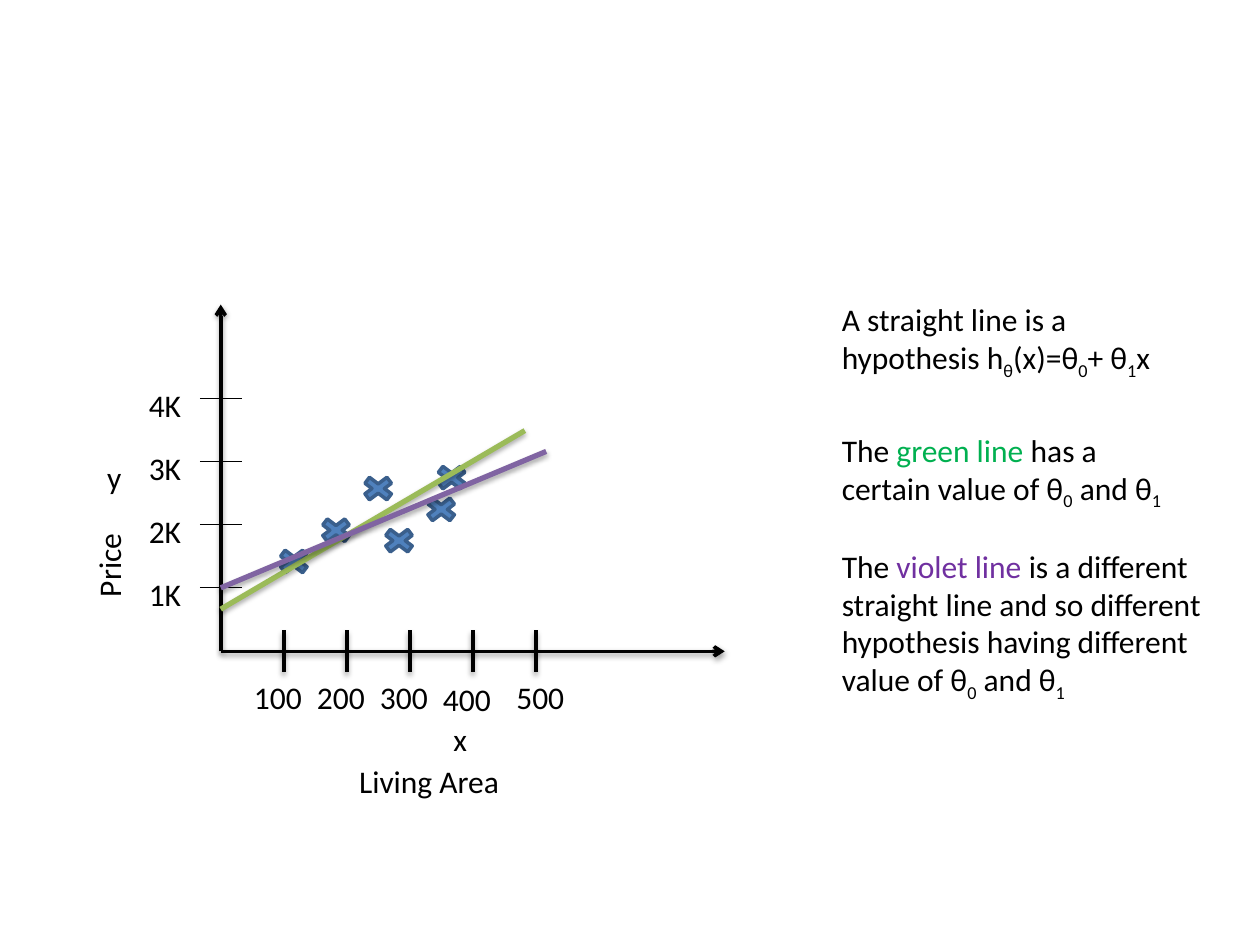
from typing import NamedTuple

from lxml.etree import SubElement
from pptx import Presentation
from pptx.dml.color import RGBColor
from pptx.enum.shapes import MSO_CONNECTOR, MSO_SHAPE
from pptx.enum.text import MSO_AUTO_SIZE
from pptx.oxml.ns import qn
from pptx.util import Cm, Pt

COLORS = {
    "black": "000000",
    "marker": "4F81BD",
    "marker_edge": "3A5F8C",
    "green_line": "9BBB59",
    "violet_line": "8064A2",
    "green_text": "00B050",
    "violet_text": "7030A0",
}
ORIGIN_X, ORIGIN_Y = 4.45, 13.13
STEP = 1.27
TICK_HALF = 0.42
LABEL_WIDTH, LABEL_HEIGHT = 1.48, 1.02


class Span(NamedTuple):
    text: str
    color: str = "black"
    subscript: bool = False


class Line(NamedTuple):
    x1: float
    y1: float
    x2: float
    y2: float
    color: str = "black"
    width: float = 2
    arrow: bool = False
    shadow_alpha: int = 0


class Note(NamedTuple):
    top: float
    width: float
    height: float
    spans: list[Span]


def sub(text: str) -> Span:
    """A subscript span."""
    return Span(text, subscript=True)


def rgb(name: str) -> RGBColor:
    return RGBColor.from_string(COLORS[name])


def add_text(slide, content: str | list[Span], left: float, top: float,
             width: float = LABEL_WIDTH, height: float = LABEL_HEIGHT, *,
             size: float = 18, wrap: bool = True, rotation: float = 0) -> None:
    box = slide.shapes.add_textbox(Cm(left), Cm(top), Cm(width), Cm(height))
    box.rotation = rotation
    frame = box.text_frame
    frame.word_wrap = wrap
    frame.auto_size = MSO_AUTO_SIZE.SHAPE_TO_FIT_TEXT
    para = frame.paragraphs[0]
    for part in [Span(content)] if isinstance(content, str) else content:
        span = para.add_run()
        span.text = part.text
        span.font.name = "Calibri"
        span.font.size = Pt(size)
        span.font.color.rgb = rgb(part.color)
        if part.subscript:
            span._r.get_or_add_rPr().set("baseline", "-25000")


def add_line(slide, line: Line) -> None:
    connector = slide.shapes.add_connector(
        MSO_CONNECTOR.STRAIGHT, Cm(line.x1), Cm(line.y1), Cm(line.x2), Cm(line.y2))
    connector.line.color.rgb = rgb(line.color)
    connector.line.width = Pt(line.width)
    if line.arrow:
        SubElement(connector.line._get_or_add_ln(), qn("a:tailEnd"), type="arrow")
    effects = SubElement(connector._element.spPr, qn("a:effectLst"))
    if line.shadow_alpha:
        shadow = SubElement(effects, qn("a:outerShdw"), blurRad=str(Pt(3.1)),
                            dist=str(Pt(1.6)), dir="5400000", rotWithShape="0")
        tint = SubElement(shadow, qn("a:srgbClr"), val=COLORS["black"])
        SubElement(tint, qn("a:alpha"), val=str(line.shadow_alpha * 1000))


def add_marker(slide, left: float, top: float) -> None:
    marker = slide.shapes.add_shape(
        MSO_SHAPE.MATH_MULTIPLY, Cm(left), Cm(top), Cm(0.85), Cm(0.64))
    marker.shadow.inherit = False
    marker.fill.solid()
    marker.fill.fore_color.rgb = rgb("marker")
    marker.line.color.rgb = rgb("marker_edge")
    marker.line.width = Pt(2)


MARKERS = [(5.5, 11), (6.35, 10.37), (7.2, 9.53), (7.62, 10.58), (8.47, 9.95), (8.68, 9.31)]
AXES = [
    Line(ORIGIN_X, ORIGIN_Y, ORIGIN_X, 6.14, arrow=True, shadow_alpha=38),
    Line(ORIGIN_X, ORIGIN_Y, 14.61, ORIGIN_Y, arrow=True, shadow_alpha=38),
]
HYPOTHESES = [
    Line(ORIGIN_X, 12.28, 10.58, 8.68, "green_line", 3, shadow_alpha=35),
    Line(ORIGIN_X, 11.85, 11.01, 9.1, "violet_line", 3, shadow_alpha=35),
]
# Label text, then its left and top
AREA_LABELS = [("100", 4.87, 13.55), ("200", 6.14, 13.55), ("300", 7.41, 13.55),
               ("400", 8.68, 13.59), ("500", 10.16, 13.55)]
PRICE_LABELS = ["1K", "2K", "3K", "4K"]
THETAS = [sub("0"), Span(" and θ"), sub("1")]
NOTES = [
    Note(5.93, 7.41, 1.8, [
        Span("A straight line is a hypothesis h"), sub("θ"), Span("(x)=θ"), sub("0"),
        Span("+ θ"), sub("1"), Span("x")]),
    Note(8.56, 7.41, 1.8, [
        Span("The "), Span("green line ", "green_text"),
        Span("has a certain value of θ"), *THETAS]),
    Note(10.9, 7.83, 3.33, [
        Span("The "), Span("violet line ", "violet_text"),
        Span("is a different straight line and so different hypothesis "
             "having different value of θ"), *THETAS]),
]


def add_scales(slide) -> None:
    """Ticks and tick labels of both axes."""
    for i, label in enumerate(PRICE_LABELS):
        y = 11.85 - i * STEP
        add_line(slide, Line(ORIGIN_X - TICK_HALF, y, ORIGIN_X + TICK_HALF, y, width=0.75))
        add_text(slide, label, 2.75, 11.46 - i * STEP)
    for i, (label, left, top) in enumerate(AREA_LABELS, start=1):
        x = ORIGIN_X + i * STEP
        add_line(slide, Line(x, ORIGIN_Y - TICK_HALF, x, ORIGIN_Y + TICK_HALF,
                             shadow_alpha=38))
        add_text(slide, label, left, top)


def main() -> None:
    deck = Presentation()
    deck.slide_width, deck.slide_height = Cm(25.4), Cm(19.05)
    page = deck.slides.add_slide(deck.slide_layouts[6])
    for left, top in MARKERS:
        add_marker(page, left, top)
    for axis in AXES:
        add_line(page, axis)
    add_text(page, "y", 1.91, 9.1, 0.81, wrap=False)
    add_text(page, "x", 8.89, 14.4, 0.79, wrap=False)
    add_scales(page)
    add_text(page, "Living Area", 6.99, 15.24, 4.45)
    add_text(page, "Price", 1.24, 10.82, 1.91, rotation=270)
    for hypothesis in HYPOTHESES:
        add_line(page, hypothesis)
    for note in NOTES:
        add_text(page, note.spans, 16.72, note.top, note.width, note.height)
    deck.save("out.pptx")


if __name__ == "__main__":
    main()
